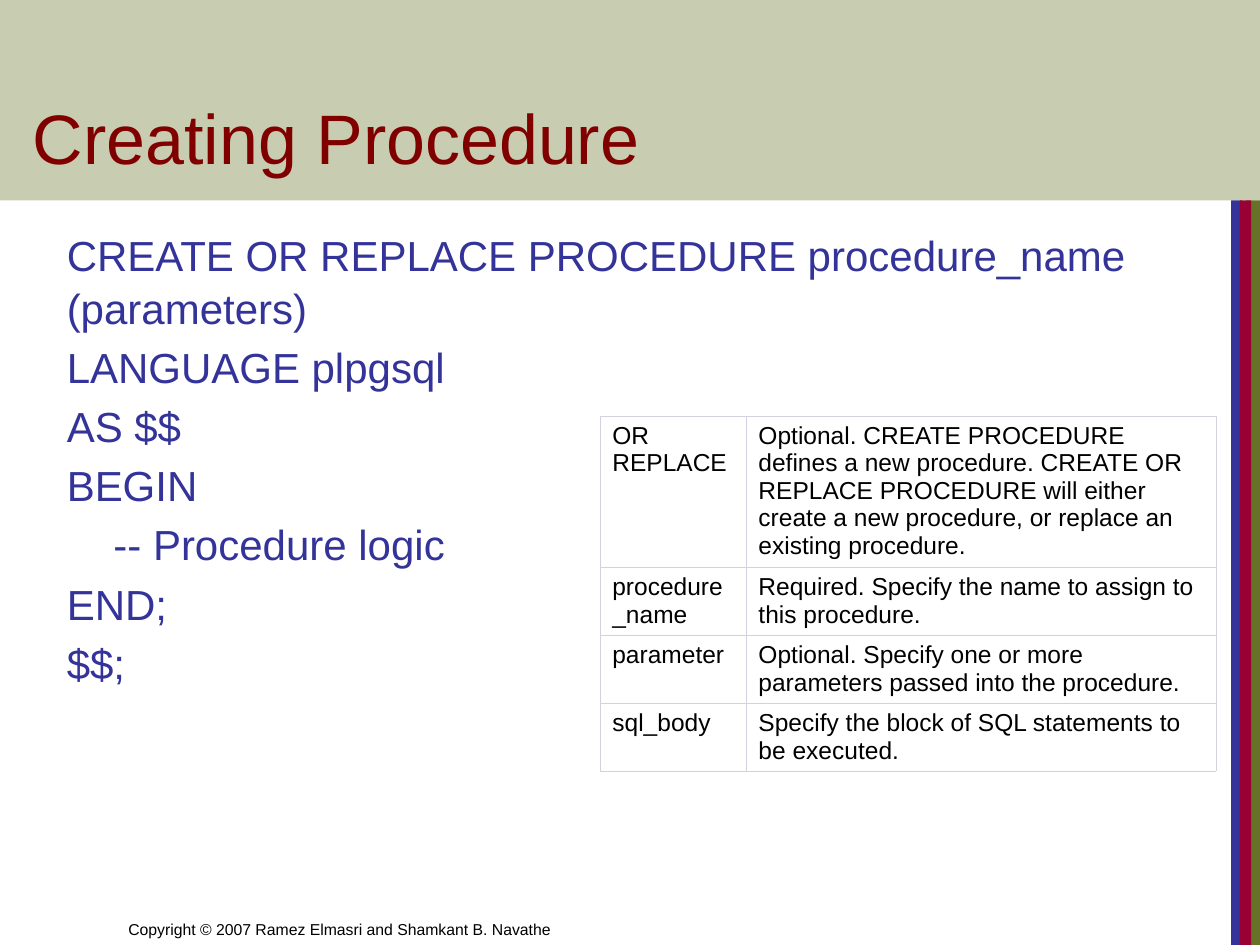
from dataclasses import dataclass

from lxml.etree import SubElement
from pptx import Presentation
from pptx.dml.color import RGBColor as RGB
from pptx.enum.shapes import MSO_SHAPE as SHAPE
from pptx.enum.text import MSO_ANCHOR as ANCHOR, MSO_AUTO_SIZE as AUTO, PP_ALIGN as ALIGN
from pptx.oxml.ns import qn
from pptx.util import Emu, Inches, Pt


@dataclass(frozen=True)
class Theme:
    font: str = "Arial"
    olive: str = "677228"
    blue: str = "333399"
    crimson: str = "990033"
    maroon: str = "800000"
    black: str = "000000"
    white: str = "FFFFFF"
    border: str = "D1D1E0"
    border_width: float = 0.15
    title_size: int = 40
    body_size: int = 24
    table_size: int = 14
    footer_size: int = 9


class Deck:
    COLS, ROWS = 100, 75

    def __init__(self, theme):
        self.theme = theme
        self.prs = Presentation()
        self.prs.slide_width, self.prs.slide_height = Inches(10), Inches(7.5)
        self.s = self.prs.slides.add_slide(self.prs.slide_layouts[1])

    def x(self, cols):
        return Emu(int(self.prs.slide_width * cols / self.COLS))

    def y(self, rows):
        return Emu(int(self.prs.slide_height * rows / self.ROWS))

    def box(self, left, top, width, height):
        return self.x(left), self.y(top), self.x(width), self.y(height)

    def style(self, p, size, color):
        for r in p.runs:
            r.font.name = self.theme.font
            r.font.size = Pt(size)
            r.font.color.rgb = RGB.from_string(color)

    def frame(self, sp, anchor, insets):
        tf = sp.text_frame
        tf.word_wrap, tf.auto_size, tf.vertical_anchor = True, AUTO.NONE, anchor
        tf.margin_left, tf.margin_top, tf.margin_right, tf.margin_bottom = map(Inches, insets)
        return tf

    def placeholder(self, idx, area):
        sp = self.s.placeholders[idx]
        sp.left, sp.top, sp.width, sp.height = self.box(*area)
        sp.element.getparent().append(sp.element)
        return sp

    def band(self, area, color, opacity=100):
        sp = self.s.shapes.add_shape(SHAPE.RECTANGLE, *self.box(*area))
        sp.shadow.inherit = False
        sp.fill.solid()
        sp.fill.fore_color.rgb = RGB.from_string(color)
        sp.line.fill.background()
        if opacity < 100:
            clr = sp.element.spPr.find(qn("a:solidFill")).find(qn("a:srgbClr"))
            SubElement(clr, qn("a:alpha"), val=str(opacity * 1000))

    def title(self, text, area):
        tf = self.frame(self.placeholder(0, area), ANCHOR.BOTTOM, (0.01, 0.01, 0, 0))
        tf.text = text
        p = tf.paragraphs[0]
        p.alignment, p.space_before = ALIGN.LEFT, Pt(0.9)
        self.style(p, self.theme.title_size, self.theme.maroon)

    def code(self, lines, area):
        tf = self.frame(self.placeholder(1, area), ANCHOR.TOP, (0.1, 0.05, 0, 0.05))
        for i, (level, line) in enumerate(lines):
            p = tf.add_paragraph() if i else tf.paragraphs[0]
            p.text = line
            p.space_before, p.line_spacing = Pt(3.6), 1.05
            pPr = p._p.get_or_add_pPr()
            pPr.set("marL", str(Inches(0.17 + 0.37 * level)))
            pPr.set("indent", "0")
            SubElement(pPr, qn("a:buNone"))
            self.style(p, self.theme.body_size, self.theme.blue)

    def footer(self, text, area):
        sp = self.s.shapes.add_textbox(*self.box(*area))
        tf = self.frame(sp, ANCHOR.BOTTOM, (0.1, 0.05, 0.1, 0.05))
        tf.text = text
        self.style(tf.paragraphs[0], self.theme.footer_size, self.theme.black)

    def cell(self, cell, text):
        cell.text = text
        self.style(cell.text_frame.paragraphs[0], self.theme.table_size, self.theme.black)
        tcPr = cell._tc.get_or_add_tcPr()
        for side in ("lnL", "lnR", "lnT", "lnB"):
            ln = SubElement(tcPr, qn(f"a:{side}"), w=str(Pt(self.theme.border_width)))
            SubElement(SubElement(ln, qn("a:solidFill")), qn("a:srgbClr"), val=self.theme.border)
        cell.fill.solid()
        cell.fill.fore_color.rgb = RGB.from_string(self.theme.white)

    def table(self, rows, left, top, widths, heights):
        area = self.box(left, top, sum(widths), sum(heights))
        table = self.s.shapes.add_table(len(rows), len(widths), *area).table
        table.first_row = table.horz_banding = False
        for column, width in zip(table.columns, widths):
            column.width = self.x(width)
        for row, height, texts in zip(table.rows, heights, rows):
            row.height = self.y(height)
            for cell, text in zip(row.cells, texts):
                self.cell(cell, text)


CODE = [
    (0, "CREATE OR REPLACE PROCEDURE procedure_name (parameters)"),
    (0, "LANGUAGE plpgsql"),
    (0, "AS $$"),
    (0, "BEGIN"),
    (1, "-- Procedure logic"),
    (0, "END;"),
    (0, "$$;"),
]

CLAUSES = [
    ("OR REPLACE", "Optional. CREATE PROCEDURE defines a new procedure. CREATE OR REPLACE "
     "PROCEDURE will either create a new procedure, or replace an existing procedure."),
    ("procedure_name", "Required. Specify the name to assign to this procedure."),
    ("parameter", "Optional. Specify one or more parameters passed into the procedure."),
    ("sql_body", "Specify the block of SQL statements to be executed."),
]


def main():
    theme = Theme()
    deck = Deck(theme)
    header = 15.9
    stripes = [(98.9, 1.1, theme.olive), (97.7, 0.9, theme.blue), (98.4, 0.9, theme.crimson)]
    for left, width, color in stripes:
        deck.band((left, header, width, deck.ROWS - header), color)
    deck.band((0, 0, deck.COLS, header), theme.olive, opacity=36)
    deck.footer("Copyright © 2007 Ramez Elmasri and Shamkant B. Navathe", (9.2, 70, 49.2, 5))
    deck.title("Creating Procedure", (2.5, 3.3, 85.3, 10.9))
    deck.code(CODE, (2.6, 17.5, 90.7, 50))
    deck.table(CLAUSES, 47.6, 33, widths=(11.6, 37.3), heights=(12, 5.4, 5.4, 5.4))
    deck.prs.save("out.pptx")


if __name__ == "__main__":
    main()
